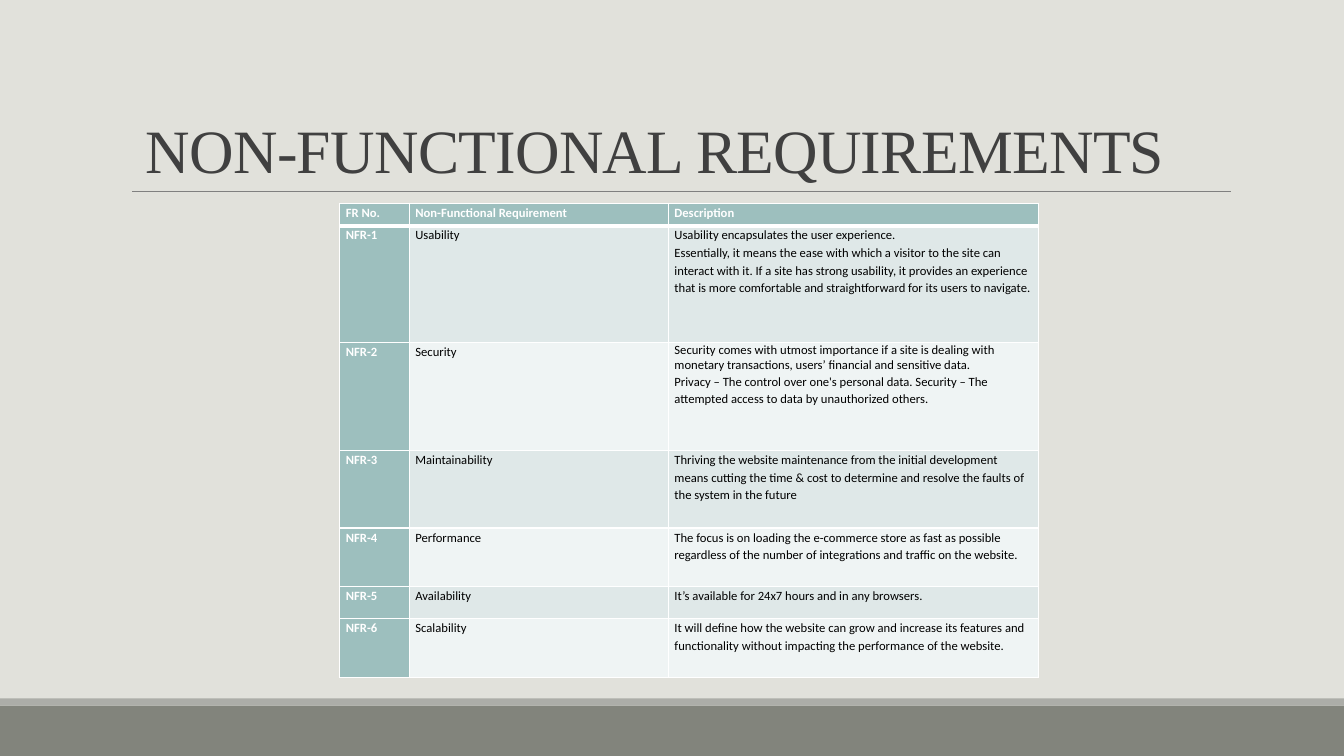
from lxml import etree
from pptx import Presentation
from pptx import util as u
from pptx.dml import color
from pptx.enum import shapes, text
from pptx.oxml import ns

REQUIREMENTS = [
    ("Usability", 1.16, [
        "Usability encapsulates the user experience.",
        "Essentially, it means the ease with which a visitor to the site can interact with it. "
        "If a site has strong usability, it provides an experience that is more comfortable and "
        "straightforward for its users to navigate."]),
    ("Security", 1.07, [
        "Security comes with utmost importance if a site is dealing with monetary transactions, "
        "users’ financial and sensitive data.",
        "Privacy – The control over one's personal data. Security – The attempted access to data "
        "by unauthorized others."]),
    ("Maintainability", 0.77, [
        "Thriving the website maintenance from the initial development means cutting the time & "
        "cost to determine and resolve the faults of the system in the future"]),
    ("Performance", 0.58, [
        "The focus is on loading the e-commerce store as fast as possible regardless of the "
        "number of integrations and traffic on the website."]),
    ("Availability", 0.32, ["It’s available for 24x7 hours and in any browsers."]),
    ("Scalability", 0.58, [
        "It will define how the website can grow and increase its features and functionality "
        "without impacting the performance of the website."]),
]
HEADINGS = ["FR No.", "Non-Functional Requirement", "Description"]
COLUMN_WIDTHS = [0.69, 2.57, 3.67]
HEADER_HEIGHT = 0.22


def rgb(value):
    return color.RGBColor.from_string(value)


def write(para, words, font="Calibri", size=9, fill="000000", bold=False, spacing=1.15):
    para.alignment = text.PP_ALIGN.LEFT
    para.line_spacing = spacing
    span = para.add_run()
    span.text = words
    span.font.name = font
    span.font.size = u.Pt(size)
    span.font.bold = bold
    span.font.color.rgb = rgb(fill)
    return span


class RequirementsSlide:
    accent = "9DBFBE"
    bands = ["DFE8E8", "EFF4F4"]
    white = "FFFFFF"

    def __init__(self, deck):
        self.page = deck.slides.add_slide(deck.slide_layouts[5])
        self.page.background.fill.solid()
        self.page.background.fill.fore_color.rgb = rgb("E1E1DB")

    def bar(self, top, height, fill):
        box = self.page.shapes.add_shape(
            shapes.MSO_SHAPE.RECTANGLE, 0, u.Inches(top), u.Inches(13.33), u.Inches(height))
        box.shadow.inherit = False
        box.fill.solid()
        box.fill.fore_color.rgb = rgb(fill)
        box.line.fill.background()

    def rule(self, left, right, top):
        line = self.page.shapes.add_connector(
            shapes.MSO_CONNECTOR.STRAIGHT,
            u.Inches(left), u.Inches(top), u.Inches(right), u.Inches(top))
        line.line.color.rgb = rgb("808080")
        line.line.width = u.Pt(0.5)
        etree.SubElement(line._element.spPr, ns.qn("a:effectLst"))

    def title(self, words):
        box = self.page.shapes.title
        box.left, box.top = u.Inches(1.2), u.Inches(0.31)
        box.width, box.height = u.Inches(11), u.Inches(1.59)
        frame = box.text_frame
        frame.word_wrap = True
        frame.auto_size = text.MSO_AUTO_SIZE.NONE
        frame.vertical_anchor = text.MSO_ANCHOR.BOTTOM
        span = write(frame.paragraphs[0], words, font="Times New Roman", size=44,
                     fill="404040", spacing=0.85)
        span.font._element.set("spc", "-50")

    def borders(self, cell, bottom):
        properties = cell._tc.get_or_add_tcPr()
        widths = {"lnL": 1, "lnR": 1, "lnT": 1, "lnB": bottom}
        for index, (side, width) in enumerate(widths.items()):
            edge = etree.Element(ns.qn(f"a:{side}"), w=str(u.Pt(width)))
            paint = etree.SubElement(edge, ns.qn("a:solidFill"))
            etree.SubElement(paint, ns.qn("a:srgbClr"), val=self.white)
            properties.insert(index, edge)

    def cell(self, cell, lines, fill, bottom=1, spacings=(1.15, 1.15), **style):
        cell.margin_left, cell.margin_right = u.Inches(0.06), u.Inches(0.07)
        cell.margin_top = cell.margin_bottom = 0
        cell.fill.solid()
        cell.fill.fore_color.rgb = rgb(fill)
        self.borders(cell, bottom)
        frame = cell.text_frame
        for index, (words, spacing) in enumerate(zip(lines, spacings)):
            para = frame.add_paragraph() if index else frame.paragraphs[0]
            write(para, words, spacing=spacing, **style)

    def table(self, left, top):
        heights = [HEADER_HEIGHT] + [height for _, height, _ in REQUIREMENTS]
        table = self.page.shapes.add_table(
            len(heights), len(COLUMN_WIDTHS), u.Inches(left), u.Inches(top),
            u.Inches(sum(COLUMN_WIDTHS)), u.Inches(sum(heights))).table
        for column, width in zip(table.columns, COLUMN_WIDTHS):
            column.width = u.Inches(width)
        for row, height in zip(table.rows, heights):
            row.height = u.Inches(height)
        heading = {"fill": self.accent, "bold": True}
        for column, words in enumerate(HEADINGS):
            self.heading_cell(table.cell(0, column), words, bottom=3)
        for row, (name, _, description) in enumerate(REQUIREMENTS, 1):
            band = self.bands[(row - 1) % 2]
            spacings = (0.96, 1.15) if name == "Security" else (1.15, 1.15)
            self.heading_cell(table.cell(row, 0), f"NFR-{row}")
            self.cell(table.cell(row, 1), [name], band)
            self.cell(table.cell(row, 2), description, band, spacings=spacings)

    def heading_cell(self, cell, words, bottom=1):
        self.cell(cell, [words], self.accent, bottom, bold=True)
        cell.text_frame.paragraphs[0].runs[0].font.color.rgb = rgb(self.white)


def main():
    deck = Presentation()
    deck.slide_width, deck.slide_height = u.Inches(13.33), u.Inches(7.5)
    slide = RequirementsSlide(deck)
    slide.bar(7, 0.5, "82847C")
    slide.bar(6.93, 0.07, "ACADA8")
    slide.rule(1.31, 12.21, 1.9)
    slide.title(" NON-FUNCTIONAL REQUIREMENTS")
    slide.table(3.37, 2.02)
    deck.save("out.pptx")


if __name__ == "__main__":
    main()
